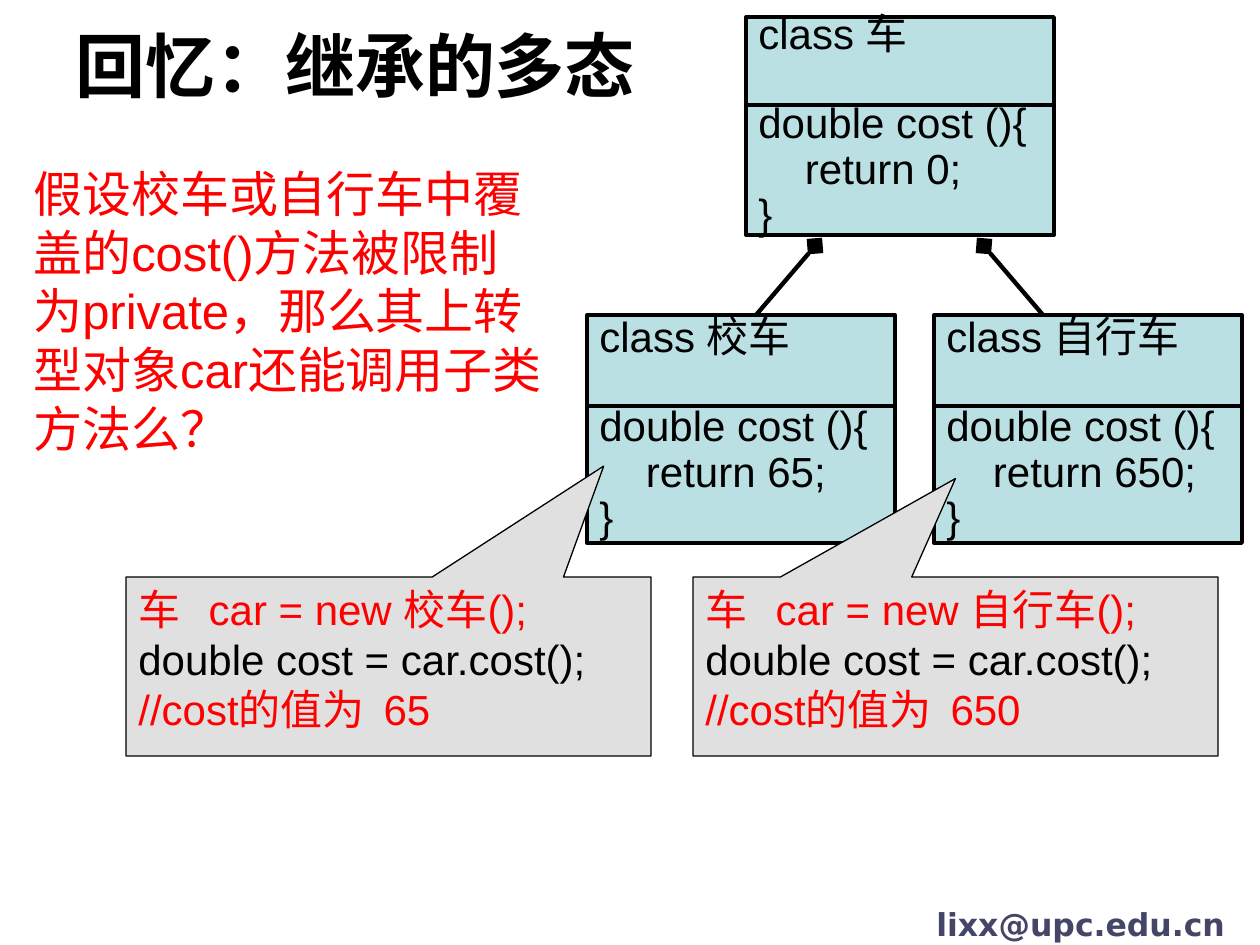
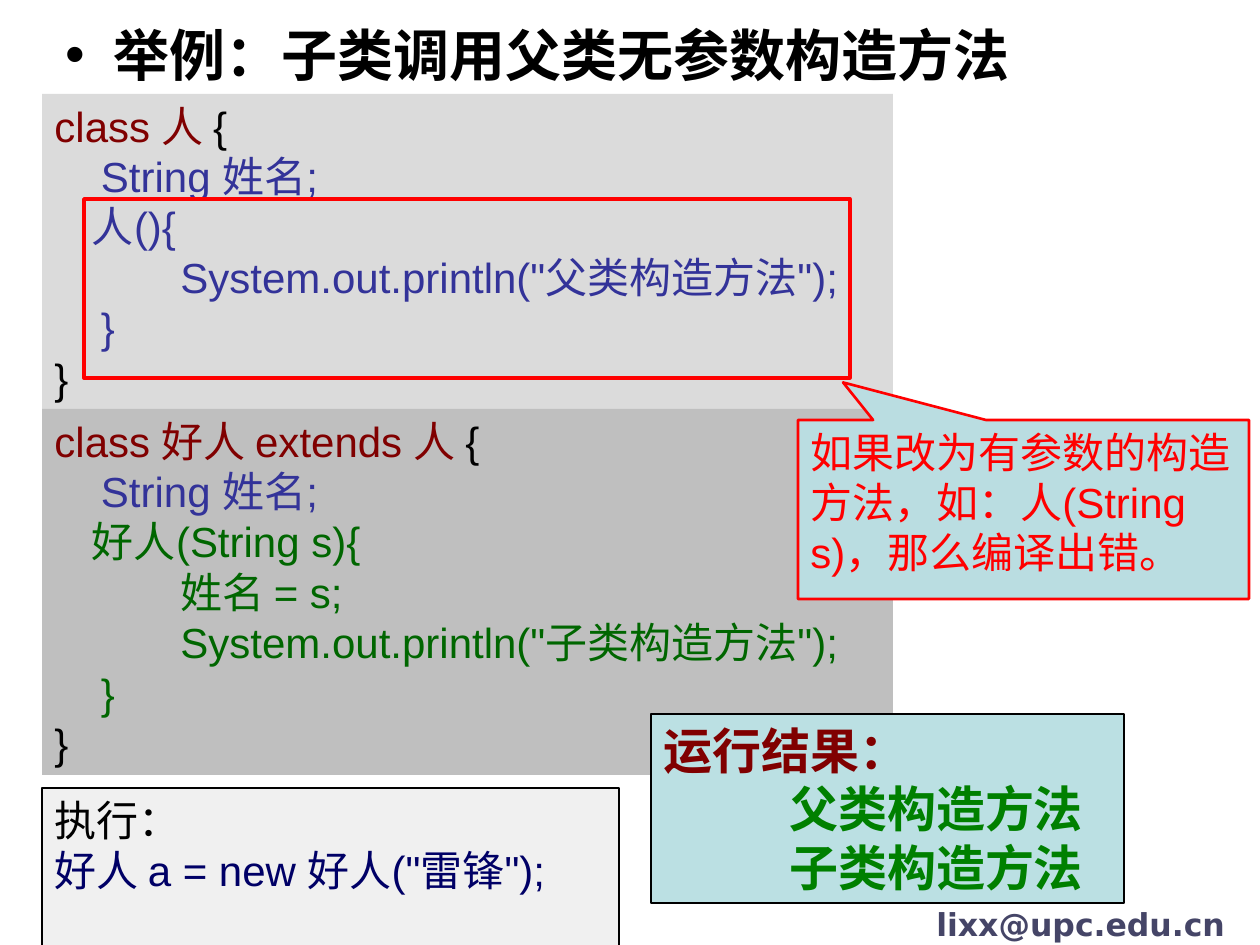
from lxml import etree
from pptx import Presentation
from pptx.dml.color import RGBColor
from pptx.enum.shapes import MSO_CONNECTOR, MSO_SHAPE
from pptx.enum.text import MSO_ANCHOR, PP_ALIGN
from pptx.oxml.ns import qn
from pptx.util import Pt

RECT = MSO_SHAPE.RECTANGLE
CALLOUT = MSO_SHAPE.RECTANGULAR_CALLOUT
STRAIGHT = MSO_CONNECTOR.STRAIGHT
TOP, MIDDLE = MSO_ANCHOR.TOP, MSO_ANCHOR.MIDDLE
LEFT = PP_ALIGN.LEFT

BLACK = RGBColor(0x00, 0x00, 0x00)
RED = RGBColor(0xFF, 0x00, 0x00)
MAROON = RGBColor(0x80, 0x00, 0x00)
INDIGO = RGBColor(0x33, 0x33, 0x99)
NAVY = RGBColor(0x00, 0x00, 0x66)
DARK_GREEN = RGBColor(0x00, 0x66, 0x00)
GREEN = RGBColor(0x00, 0x80, 0x00)
SLATE = RGBColor(0x45, 0x45, 0x67)
AQUA = RGBColor(0xBB, 0xE0, 0xE3)
NOTE_AQUA = RGBColor(0xBA, 0xDD, 0xE1)
CALLOUT_GRAY = RGBColor(0xE0, 0xE0, 0xE0)
PARENT_GRAY = RGBColor(0xDB, 0xDB, 0xDB)
CHILD_GRAY = RGBColor(0xBF, 0xBF, 0xBF)
RUN_GRAY = RGBColor(0xF0, 0xF0, 0xF0)

LATIN, CJK = "Arial", "Noto Sans CJK SC"
PX = 914400 / 126
WIDTH, HEIGHT = 1260, 945
TAB = 126
BULLET_INDENT = 48

EMAIL = "lixx@upc.edu.cn"
TITLE = "回忆：继承的多态"
QUESTION = ("假设校车或自行车中覆盖的cost()方法被限制为private，"
            "那么其上转型对象car还能调用子类方法么？")
CLASS_W = 308
CLASSES = [
    ("车", 0, (746, 17, CLASS_W, 218), 105),
    ("校车", 65, (587, 315, CLASS_W, 228), 406),
    ("自行车", 650, (934, 315, CLASS_W, 228), 406),
]
INHERITANCE = [(756, 315, 815, 246), (1043, 315, 984, 246)]
CALLS = [
    ("校车", 65, 126, (0.41, -1.12)),
    ("自行车", 650, 693, (0, -1.05)),
]

EXAMPLE = "举例：子类调用父类无参数构造方法"
PARENT_CODE = [
    [("class 人 ", MAROON), ("{", BLACK)],
    [("    String 姓名;", INDIGO)],
    [("    人(){", INDIGO)],
    [('\tSystem.out.println("父类构造方法");', INDIGO)],
    [("    }", INDIGO)],
    [("}", BLACK)],
]
CHILD_CODE = [
    [("class 好人 extends 人 ", MAROON), ("{", BLACK)],
    [("    String 姓名;", INDIGO)],
    [("    好人(String s){", DARK_GREEN)],
    [("\t姓名 = s;", DARK_GREEN)],
    [('\tSystem.out.println("子类构造方法");', DARK_GREEN)],
    [("    }", DARK_GREEN)],
    [("}", BLACK)],
]
RUN_CODE = [
    [("执行：", BLACK)],
    [('好人 a = new 好人("雷锋");', NAVY)],
]
RESULT = [
    [("运行结果：", MAROON)],
    [("父类构造方法", GREEN)],
    [("子类构造方法", GREEN)],
]
WARNING = "如果改为有参数的构造方法，如：人(String s)，那么编译出错。"


def px(*values):
    return [round(v * PX) for v in values]


def add_tab_stop(p):
    tabs = etree.SubElement(p._p.get_or_add_pPr(), qn("a:tabLst"))
    etree.SubElement(tabs, qn("a:tab"), pos=str(px(TAB)[0]), algn="l")


def write(sp, paragraphs, size=24, name=LATIN, bold=False,
          anchor=TOP, spacing=None):
    tf = sp.text_frame
    tf.word_wrap = True
    tf.vertical_anchor = anchor
    for i, runs in enumerate(paragraphs):
        p = tf.add_paragraph() if i else tf.paragraphs[0]
        if runs[0][0].startswith("\t"):
            add_tab_stop(p)
        p.alignment = LEFT
        if spacing:
            p.line_spacing = spacing
        for text, color in runs:
            r = p.add_run()
            r.text = text
            for key, value in dict(size=Pt(size), name=name, bold=bold).items():
                setattr(r.font, key, value)
            r.font.color.rgb = color
            etree.SubElement(r._r.get_or_add_rPr(), qn("a:ea"), typeface=CJK)
    return tf.paragraphs


def add_text(s, box, paragraphs, **fmt):
    return write(s.shapes.add_textbox(*px(*box)), paragraphs, **fmt)


def add_box(s, box, paragraphs=(), fill=None, line=None, width=0.75,
            kind=RECT, tip=(), **fmt):
    sp = s.shapes.add_shape(kind, *px(*box))
    sp.shadow.inherit = False
    for i, value in enumerate(tip):
        sp.adjustments[i] = value
    if fill is None:
        sp.fill.background()
    else:
        sp.fill.solid()
        sp.fill.fore_color.rgb = fill
    if line is None:
        sp.line.fill.background()
    else:
        sp.line.color.rgb = line
        sp.line.width = Pt(width)
    return write(sp, paragraphs, **fmt)


def add_line(s, ends, width, tail=None):
    c = s.shapes.add_connector(STRAIGHT, *px(*ends))
    c.line.color.rgb = BLACK
    c.line.width = Pt(width)
    spPr = c._element.spPr
    if tail:
        etree.SubElement(spPr.find(qn("a:ln")), qn("a:tailEnd"),
                         type=tail, w="lg", len="lg")
    etree.SubElement(spPr, qn("a:effectLst"))


def add_class(s, name, cost, box, divider):
    lines = [f"class {name}", "double cost (){", f"    return {cost};", "}"]
    paragraphs = add_box(s, box, [[(t, BLACK)] for t in lines], fill=AQUA,
                         line=BLACK, width=2.25, anchor=MIDDLE, spacing=0.9)
    paragraphs[1].space_before = Pt(25)
    add_line(s, (box[0], divider, box[0] + box[2], divider), 2.25)


def new_slide(prs):
    s = prs.slides.add_slide(prs.slide_layouts[6])
    add_text(s, (924, 899, 336, 40), [[(EMAIL, SLATE)]], size=18,
             name="DejaVu Sans", bold=True)
    return s


def polymorphism_slide(prs):
    s = new_slide(prs)
    for ends in INHERITANCE:
        add_line(s, ends, 2.5, "diamond")
    for item in CLASSES:
        add_class(s, *item)
    for name, cost, left, tip in CALLS:
        code = [
            [(f"车   car = new {name}();", RED)],
            [("double cost = car.cost();", BLACK)],
            [(f"//cost的值为  {cost}", RED)],
        ]
        add_box(s, (left, 577, 525, 179), code, fill=CALLOUT_GRAY,
                line=BLACK, kind=CALLOUT, tip=tip)
    add_text(s, (63, 15, 1004, 100), [[(TITLE, BLACK)]], size=40,
             bold=True, anchor=MIDDLE)
    add_text(s, (21, 157, 536, 307), [[(QUESTION, RED)]], size=28)


def constructor_slide(prs):
    s = new_slide(prs)
    heading = add_text(s, (53, 8, 1163, 87), [[(EXAMPLE, BLACK)]],
                       size=32, bold=True, spacing=1.1)[0]
    pPr = heading._p.get_or_add_pPr()
    indent = px(BULLET_INDENT)[0]
    pPr.set("marL", str(indent))
    pPr.set("indent", str(-indent))
    etree.SubElement(pPr, qn("a:buFont"), typeface=LATIN)
    etree.SubElement(pPr, qn("a:buChar"), char="•")

    add_box(s, (42, 94, 851, 315), PARENT_CODE, fill=PARENT_GRAY)
    add_box(s, (42, 409, 851, 366), CHILD_CODE, fill=CHILD_GRAY)
    add_box(s, (42, 788, 577, 164), RUN_CODE, fill=RUN_GRAY, line=BLACK)
    result = add_box(s, (651, 714, 473, 189), RESULT, fill=AQUA, line=BLACK,
                     size=28, name=CJK, bold=True)
    for p in result[1:]:
        p._p.get_or_add_pPr().set("marL", str(px(TAB)[0]))
    add_box(s, (84, 199, 766, 179), line=RED, width=2)
    add_box(s, (798, 420, 451, 179), [[(WARNING, RED)]], fill=NOTE_AQUA,
            line=RED, width=1.5, kind=CALLOUT, tip=(-0.4, -0.71))


def main():
    prs = Presentation()
    prs.slide_width, prs.slide_height = px(WIDTH, HEIGHT)
    polymorphism_slide(prs)
    constructor_slide(prs)
    prs.save("out.pptx")


if __name__ == "__main__":
    main()
